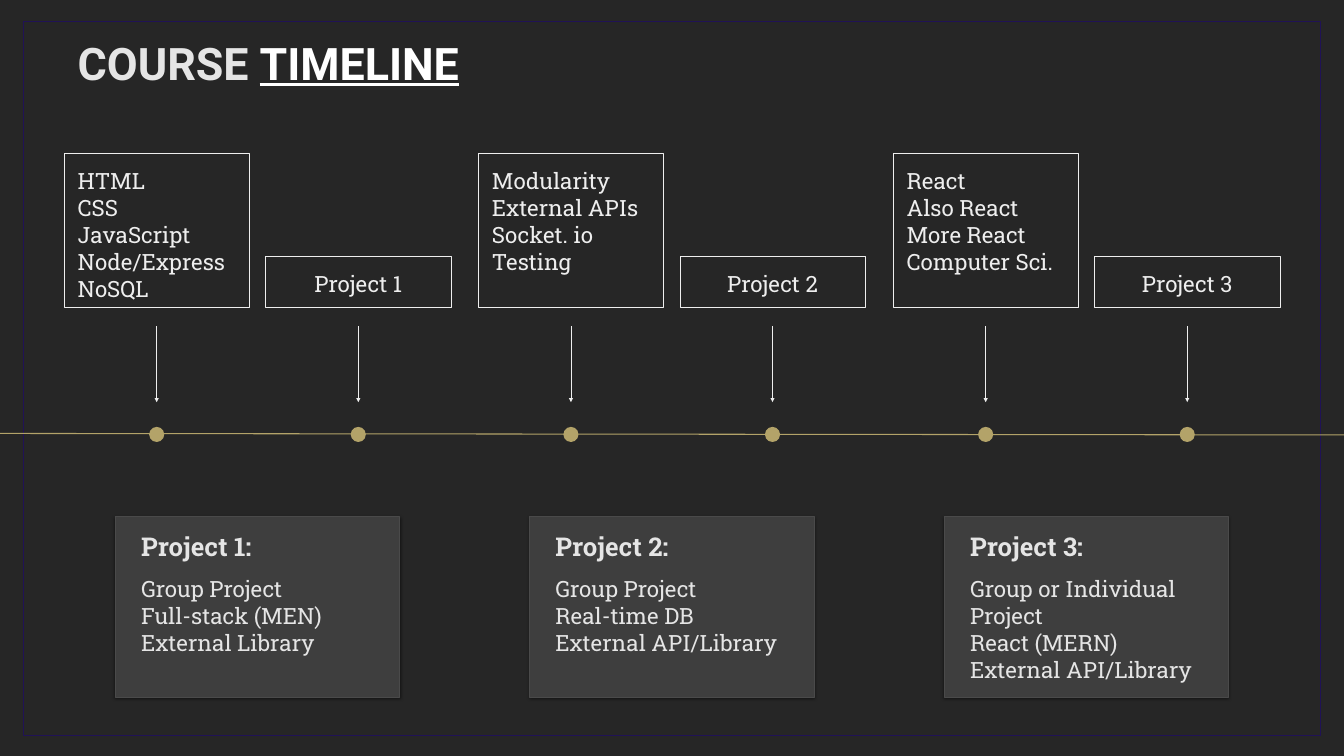
"""Build the course timeline slide: three units, each ending in a project."""
from dataclasses import dataclass

import lxml.etree
import pptx
import pptx.dml.color
import pptx.enum.shapes
import pptx.enum.text
import pptx.oxml
import pptx.oxml.ns
import pptx.util

PX = 9144
UNIT_START = 127
TWO_UNITS = 1645
INSET = 27
BODY_FONT = "Roboto Slab"
GOLD = "B3A369"
PALE = "EEEEEE"
LIGHT = "E5E5E5"
SHAPES = pptx.enum.shapes.MSO_SHAPE
ALIGN = pptx.enum.text.PP_ALIGN


@dataclass
class Unit:
    project: str
    topics: list[str]
    details: list[str]


UNITS = [
    Unit("Project 1", ["HTML", "CSS", "JavaScript", "Node/Express", "NoSQL"],
         ["Group Project", "Full-stack (MEN)", "External Library"]),
    Unit("Project 2", ["Modularity", "External APIs", "Socket. io", "Testing"],
         ["Group Project", "Real-time DB", "External API/Library"]),
    Unit("Project 3", ["React", "Also React", "More React", "Computer Sci."],
         ["Group or Individual Project", "React (MERN)", "External API/Library"]),
]


def color(value: str) -> pptx.dml.color.RGBColor:
    return pptx.dml.color.RGBColor.from_string(value)


def emu(*lengths: int) -> list[int]:
    return [length * PX for length in lengths]


def add_box(slide, kind, box: tuple[int, int, int, int], fill: str = "", line: str = ""):
    shape = slide.shapes.add_shape(kind, *emu(*box))
    shape.shadow.inherit = False
    if fill:
        shape.fill.solid()
        shape.fill.fore_color.rgb = color(fill)
    else:
        shape.fill.background()
    if line:
        shape.line.color.rgb = color(line)
        shape.line.width = pptx.util.Pt(0.75)
    else:
        shape.line.fill.background()
    return shape


def add_line(slide, start: tuple[int, int], end: tuple[int, int], line: str,
             width: float, arrow: bool = False) -> None:
    connector = slide.shapes.add_connector(
        pptx.enum.shapes.MSO_CONNECTOR.STRAIGHT, *emu(*start, *end))
    connector.line.color.rgb = color(line)
    connector.line.width = pptx.util.Pt(width)
    if arrow:
        lxml.etree.SubElement(connector.line._get_or_add_ln(),
                              pptx.oxml.ns.qn("a:tailEnd"), type="triangle")
    lxml.etree.SubElement(connector._element.spPr, pptx.oxml.ns.qn("a:effectLst"))


def add_card_shadow(shape) -> None:
    effects = shape._element.spPr.find(pptx.oxml.ns.qn("a:effectLst"))
    effects.append(pptx.oxml.parse_xml(
        f'<a:outerShdw {pptx.oxml.ns.nsdecls("a")} blurRad="57150" dist="19050" '
        'dir="5400000" algn="bl" rotWithShape="0"><a:srgbClr val="000000">'
        '<a:alpha val="50000"/></a:srgbClr></a:outerShdw>'))


def prepare_frame(shape):
    frame = shape.text_frame
    frame.word_wrap = True
    frame.vertical_anchor = pptx.enum.text.MSO_ANCHOR.TOP
    frame.margin_left = frame.margin_right = INSET * PX
    frame.margin_top = frame.margin_bottom = INSET * PX
    return frame


def set_font(paragraph, name: str, size: int, ink: str, bold: bool = False) -> None:
    font = paragraph.font
    font.name, font.size, font.bold = name, pptx.util.Pt(size), bold
    font.color.rgb = color(ink)


def write_lines(shape, lines: list[str], ink: str, align=ALIGN.LEFT, heading: str = "") -> None:
    frame = prepare_frame(shape)
    frame.text = "\n".join([heading, *lines] if heading else lines)
    for paragraph in frame.paragraphs:
        paragraph.alignment = align
        set_font(paragraph, BODY_FONT, 32, ink)
    if heading:
        set_font(frame.paragraphs[0], BODY_FONT, 37, ink, bold=True)
        frame.paragraphs[0].space_after = pptx.util.Pt(20)


def add_title(slide) -> None:
    frame = prepare_frame(slide.shapes.add_textbox(*emu(127, 43, 1041, 181)))
    paragraph = frame.paragraphs[0]
    set_font(paragraph, "Roboto", 64, LIGHT, bold=True)
    paragraph.add_run().text = "COURSE "
    emphasis = paragraph.add_run()
    emphasis.text = "TIMELINE"
    emphasis.font.underline = True
    emphasis.font.color.rgb = color("FFFFFF")


def add_unit(slide, unit: Unit, left: int) -> None:
    for offset in (0, 400):
        middle = left + offset + 184
        add_box(slide, SHAPES.OVAL, (middle - 15, 847, 30, 30), fill=GOLD)
        add_line(slide, (middle, 647), (middle, 798), PALE, 0.75, arrow=True)

    topics = add_box(slide, SHAPES.RECTANGLE, (left, 305, 368, 304), line=PALE)
    write_lines(topics, unit.topics, PALE)
    project = add_box(slide, SHAPES.RECTANGLE, (left + 400, 509, 368, 101), line=PALE)
    write_lines(project, [unit.project], PALE, ALIGN.CENTER)

    card = add_box(slide, SHAPES.RECTANGLE, (left + 102, 1025, 564, 359), "3E3E3E", "4A4A4A")
    add_card_shadow(card)
    details = slide.shapes.add_textbox(*emu(left + 126, 1025, 514, 324))
    write_lines(details, unit.details, LIGHT, heading=f"{unit.project}:")


def main() -> None:
    presentation = pptx.Presentation()
    presentation.slide_width, presentation.slide_height = emu(2667, 1500)
    slide = presentation.slides.add_slide(presentation.slide_layouts[6])
    slide.background.fill.solid()
    slide.background.fill.fore_color.rgb = color("262626")

    add_box(slide, SHAPES.RECTANGLE, (47, 43, 2573, 1415), line="201256")
    add_line(slide, (0, 860), (2667, 863), GOLD, 1.5)
    add_title(slide)
    for index, unit in enumerate(UNITS):
        add_unit(slide, unit, UNIT_START + index * TWO_UNITS // 2)
    presentation.save("out.pptx")


if __name__ == "__main__":
    main()
